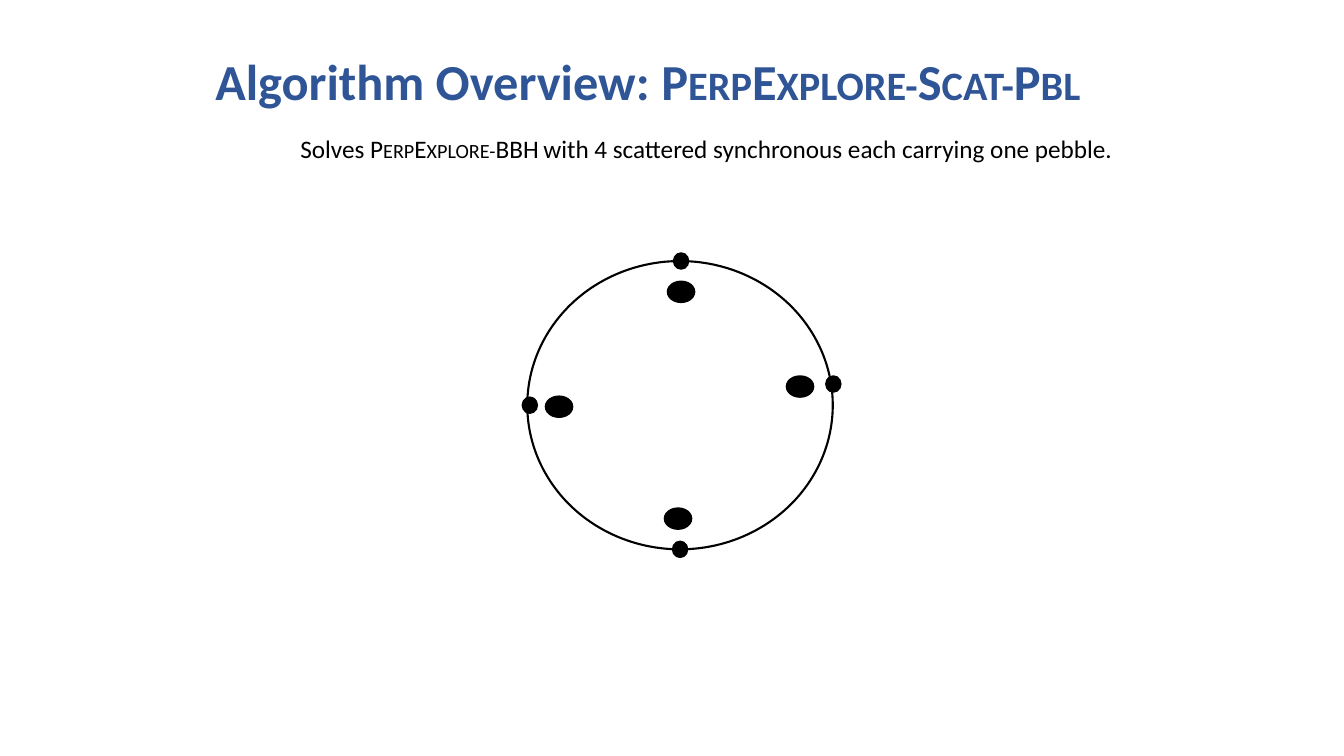
"""Build the PerpExplore-Scat-Pbl overview slide: four agents with pebbles on a ring."""
from dataclasses import dataclass

import pptx
import pptx.dml.color
import pptx.enum.shapes
import pptx.enum.text
import pptx.util
from pptx.util import Inches

ALIGN = pptx.enum.text.PP_ALIGN
BLACK = "000000"


@dataclass
class Run:
    text: str
    small_caps: bool = False


@dataclass
class TextLine:
    box: tuple[float, float, float, float]
    runs: list[Run]
    align: ALIGN
    color: str
    font: dict


@dataclass
class Ellipse:
    left: float
    top: float
    width: float
    height: float
    line_pt: float = 1
    filled: bool = True


TEXT_LINES = [
    TextLine((0.65, 0.45, 11.55, 0.71),
             [Run("Algorithm Overview: "), Run("PerpExplore-Scat-Pbl", True)],
             ALIGN.CENTER, "2F5597",
             {"name": "Calibri", "size": pptx.util.Pt(36), "bold": True}),
    TextLine((2.88, 1.27, 8.42, 0.4),
             [Run("Solves "), Run("PerpExplore-BBH ", True),
              Run("with 4 scattered synchronous each carrying one pebble.")],
             ALIGN.LEFT, BLACK,
             {"name": "Calibri", "size": pptx.util.Pt(18), "bold": False}),
]
RING = Ellipse(5.23, 2.59, 3.03, 2.86, line_pt=1.5, filled=False)
NODES = [(6.68, 2.51), (8.19, 3.73), (5.18, 3.94), (6.67, 5.37)]
AGENTS = [(6.62, 2.79), (5.41, 3.93), (6.59, 5.04), (7.8, 3.73)]


def rgb(color: str) -> pptx.dml.color.RGBColor:
    """Turn a hex string into a colour."""
    return pptx.dml.color.RGBColor.from_string(color)


def add_text(s, line: TextLine) -> None:
    """Add one line of text made of plain and small-caps runs."""
    tf = s.shapes.add_textbox(*map(Inches, line.box)).text_frame
    tf.word_wrap = True
    p = tf.paragraphs[0]
    p.alignment = line.align
    for run in line.runs:
        r = p.add_run()
        r.text = run.text
        for name, value in line.font.items():
            setattr(r.font, name, value)
        r.font.color.rgb = rgb(line.color)
        if run.small_caps:
            r.font._element.set("cap", "small")


def add_ellipse(s, e: Ellipse) -> None:
    """Add a black-outlined ellipse, filled black or left open."""
    box = map(Inches, (e.left, e.top, e.width, e.height))
    sp = s.shapes.add_shape(pptx.enum.shapes.MSO_SHAPE.OVAL, *box)
    sp.shadow.inherit = False
    sp.line.color.rgb = rgb(BLACK)
    sp.line.width = pptx.util.Pt(e.line_pt)
    if e.filled:
        sp.fill.solid()
        sp.fill.fore_color.rgb = rgb(BLACK)
    else:
        sp.fill.background()


def main() -> None:
    """Draw the slide and save it."""
    prs = pptx.Presentation()
    prs.slide_width, prs.slide_height = Inches(13.33), Inches(7.5)
    s = prs.slides.add_slide(prs.slide_layouts[6])
    for line in TEXT_LINES:
        add_text(s, line)
    nodes = [Ellipse(x, y, 0.15, 0.16) for x, y in NODES]
    agents = [Ellipse(x, y, 0.27, 0.21) for x, y in AGENTS]
    for e in [RING, *nodes, *agents]:
        add_ellipse(s, e)
    prs.save("out.pptx")


if __name__ == "__main__":
    main()
